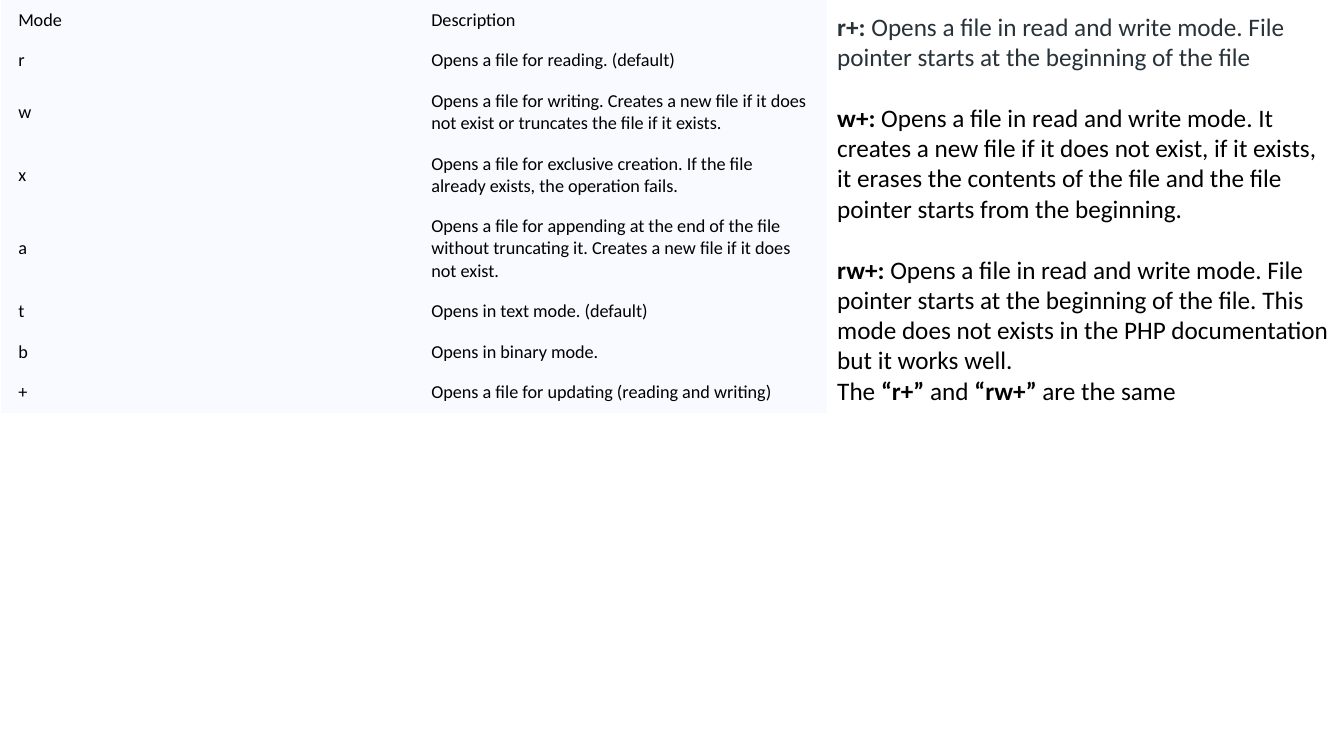
from dataclasses import dataclass

from pptx import Presentation
from pptx.dml.color import RGBColor as Rgb
from pptx.enum.text import MSO_ANCHOR as Anchor, MSO_AUTO_SIZE as Fit
from pptx.oxml.ns import qn
from pptx.util import Cm, Pt


@dataclass(frozen=True)
class Theme:
    """Colours, font and type sizes of the slide."""
    font: str = "Calibri"
    ink: Rgb = Rgb(0, 0, 0)
    slate: Rgb = Rgb(0x27, 0x32, 0x39)
    pale: Rgb = Rgb(0xF8, 0xFA, 0xFF)
    cell: Pt = Pt(13)
    body: Pt = Pt(18)
    gap: Pt = Pt(22)


LOOK = Theme()
PLAIN = "{2D5ABB26-0587-4C30-8999-92F81FD0307C}"

# Row height in cm, mode, description
MODES = [
    (0.86, "Mode", "Description"),
    (0.86, "r", "Opens a file for reading. (default)"),
    (1.4, "w", "Opens a file for writing. Creates a new file if it does not "
     "exist or truncates the file if it exists."),
    (1.4, "x", "Opens a file for exclusive creation. If the file already "
     "exists, the operation fails."),
    (1.83, "a", "Opens a file for appending at the end of the file without "
     "truncating it. Creates a new file if it does not exist."),
    (0.86, "t", "Opens in text mode. (default)"),
    (0.86, "b", "Opens in binary mode."),
    (1.02, "+", "Opens a file for updating (reading and writing)"),
]

# Colour, space before, then runs of (text, bold)
NOTES = [
    (LOOK.slate, 0, [
        ("r+:", True),
        ("\u00a0Opens a file in read and write mode. File pointer starts at "
         "the beginning of the file", False)]),
    (LOOK.ink, LOOK.gap, [
        ("w+:", True),
        ("\u00a0Opens a file in read and write mode. It creates a new file "
         "if it does not exist, if it exists, it erases the contents of the "
         "file and the file pointer starts from the beginning.", False)]),
    (LOOK.ink, LOOK.gap, [
        ("rw+:", True),
        ("\u00a0Opens a file in read and write mode. File pointer starts at "
         "the beginning of the file. This mode does not exists in the PHP "
         "documentation but it works well.", False)]),
    (LOOK.ink, 0, [
        ("The\u00a0", False), ("“r+”", True), ("\u00a0and\u00a0", False),
        ("“rw+”", True), ("\u00a0are the same", False)]),
]


def add_run(para, text, size, color, bold=False):
    """Append one formatted run to a paragraph."""
    run = para.add_run()
    run.text = text
    font = run.font
    font.name, font.size, font.bold = LOOK.font, size, bold
    font.color.rgb = color


def fill_cell(cell, text):
    """Style a table cell and write its text."""
    cell.fill.solid()
    cell.fill.fore_color.rgb = LOOK.pale
    cell.vertical_anchor = Anchor.MIDDLE
    cell.margin_left = cell.margin_right = Cm(0.43)
    cell.margin_top = cell.margin_bottom = Cm(0.23)
    add_run(cell.text_frame.paragraphs[0], text, LOOK.cell, LOOK.ink)


def add_modes(slide, left, top, width):
    """Add the table of file modes, with two equal columns."""
    high = Cm(sum(row[0] for row in MODES))
    frame = slide.shapes.add_table(len(MODES), 2, left, top, width, high)
    for style in frame.element.iter(qn("a:tableStyleId")):
        style.text = PLAIN
    table = frame.table
    table.first_row = table.horz_banding = False
    for row, (tall, *texts) in zip(table.rows, MODES):
        row.height = Cm(tall)
        for cell, text in zip(row.cells, texts):
            fill_cell(cell, text)


def add_notes(slide, left, top, width, height):
    """Add the text box that explains the combined modes."""
    frame = slide.shapes.add_textbox(left, top, width, height).text_frame
    frame.word_wrap = True
    frame.auto_size = Fit.SHAPE_TO_FIT_TEXT
    for num, (color, gap, runs) in enumerate(NOTES):
        para = frame.add_paragraph() if num else frame.paragraphs[0]
        para.space_before = gap
        for text, bold in runs:
            add_run(para, text, LOOK.body, color, bold)


def main():
    """Build the slide and save it."""
    deck = Presentation()
    deck.slide_width, deck.slide_height = Cm(33.87), Cm(19.05)
    slide = deck.slides.add_slide(deck.slide_layouts[6])
    add_modes(slide, Cm(0.03), Cm(0), Cm(20.82))
    add_notes(slide, Cm(20.85), Cm(0.15), Cm(13.01), Cm(11.02))
    deck.save("out.pptx")


main()
